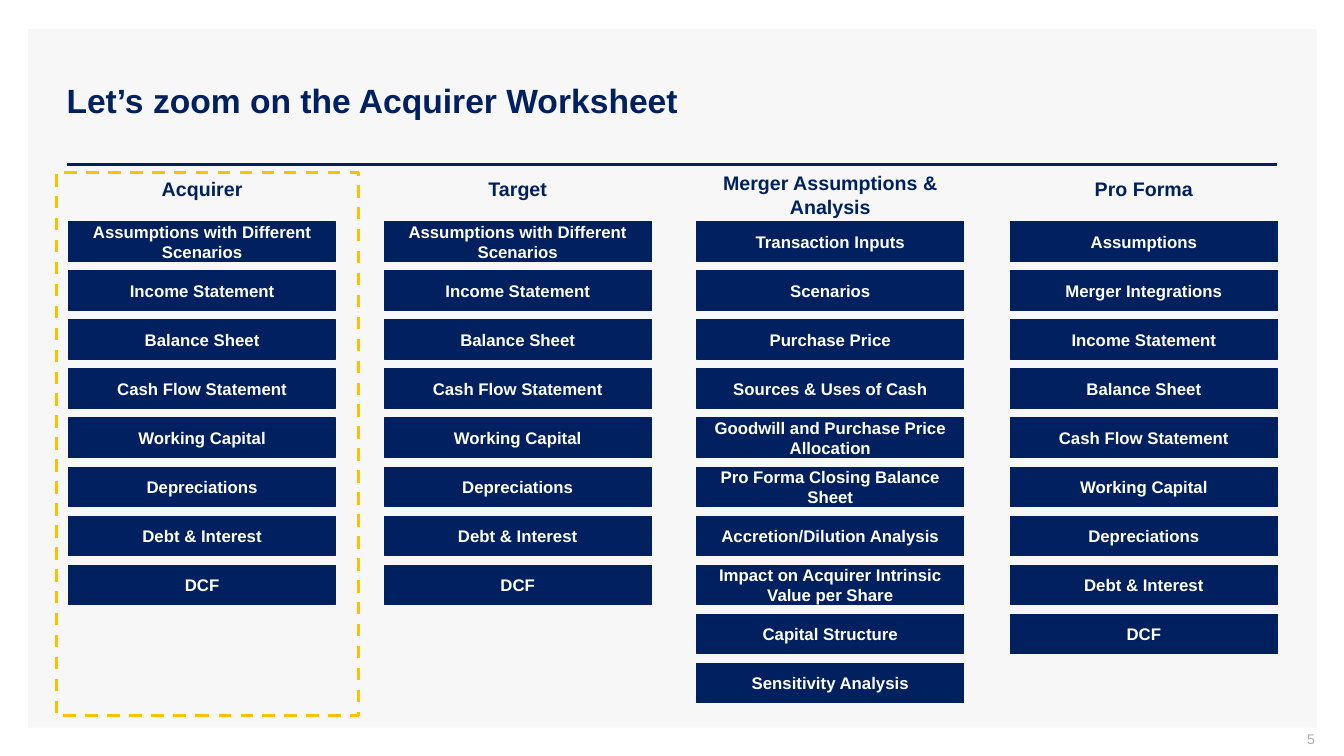
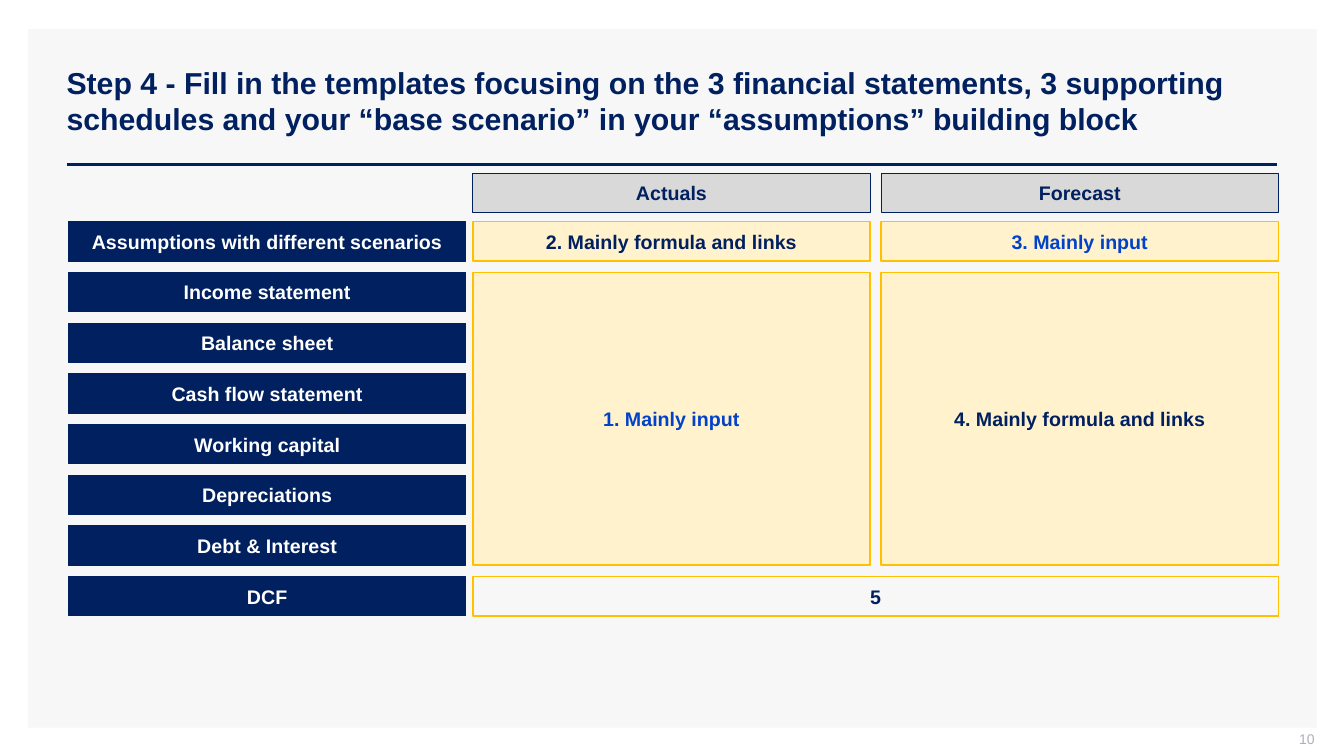
from lxml.etree import SubElement
from pptx import Presentation
from pptx.dml.color import RGBColor
from pptx.enum.dml import MSO_LINE
from pptx.enum.shapes import MSO_CONNECTOR, MSO_SHAPE
from pptx.enum.text import MSO_ANCHOR, MSO_AUTO_SIZE, PP_ALIGN
from pptx.oxml.ns import qn
from pptx.util import Inches, Pt

NAVY = RGBColor(0x00, 0x20, 0x60)
BLUE = RGBColor(0x00, 0x42, 0xC8)
GOLD = RGBColor(0xFF, 0xC0, 0x00)
CREAM = RGBColor(0xFF, 0xF2, 0xCC)
SILVER = RGBColor(0xD9, 0xD9, 0xD9)
PALE = RGBColor(0xF7, 0xF7, 0xF7)
MUTED = RGBColor(0xAD, 0xAF, 0xBB)
WHITE = RGBColor(0xFF, 0xFF, 0xFF)

FONT = "Arial"
TITLE_ONLY = 5
LEFT, RIGHT = 0.68, 12.68
ROW_TOP, ROW_H = 2.2, 0.39

SCHEDULES = ["Working Capital", "Depreciations", "Debt & Interest", "DCF"]
STATEMENTS = ["Income Statement", "Balance Sheet", "Cash Flow Statement"]
COMPANY = ["Assumptions with Different Scenarios", *STATEMENTS, *SCHEDULES]
WORKSHEETS = [
    (0.68, "Acquirer", COMPANY),
    (3.81, "Target", COMPANY),
    (6.91, "Merger Assumptions & Analysis", [
        "Transaction Inputs", "Scenarios", "Purchase Price",
        "Sources & Uses of Cash", "Goodwill and Purchase Price Allocation",
        "Pro Forma Closing Balance Sheet", "Accretion/Dilution Analysis",
        "Impact on Acquirer Intrinsic Value per Share",
        "Capital Structure", "Sensitivity Analysis"]),
    (10.02, "Pro Forma",
     ["Assumptions", "Merger Integrations", *STATEMENTS, *SCHEDULES]),
]
TEMPLATE_ROWS = ["Assumptions with different scenarios", "Income statement",
                 "Balance sheet", "Cash flow statement", "Working capital",
                 "Depreciations", "Debt & Interest", "DCF"]


def inches(*lengths):
    return [Inches(n) for n in lengths]


def write(shape, text, size, color, bold=True, align=PP_ALIGN.CENTER,
          anchor=MSO_ANCHOR.MIDDLE):
    tf = shape.text_frame
    frame_format = {"word_wrap": True, "auto_size": MSO_AUTO_SIZE.NONE,
                    "vertical_anchor": anchor}
    for name, value in frame_format.items():
        setattr(tf, name, value)
    p = tf.paragraphs[0]
    p.alignment = align
    r = p.add_run()
    r.text = text
    for name, value in {"name": FONT, "size": Pt(size), "bold": bold}.items():
        setattr(r.font, name, value)
    r.font.color.rgb = color


def add_text(s, at, text, size, color, **style):
    box = s.shapes.add_textbox(*inches(*at))
    write(box, text, size, color, **style)
    return box


def add_box(s, at, fill=None, line=None, width=0.75, text="", size=14,
            color=NAVY):
    """Rectangle; without a fill or line colour that part stays empty."""
    sp = s.shapes.add_shape(MSO_SHAPE.RECTANGLE, *inches(*at))
    sp.shadow.inherit = False
    for part, rgb in ((sp.fill, fill), (sp.line.fill, line)):
        if rgb is None:
            part.background()
        else:
            part.solid()
            part.fore_color.rgb = rgb
    if line is not None:
        sp.line.width = Pt(width)
    if text:
        write(sp, text, size, color)
    return sp


def add_rule(s, x1, x2, y):
    rule = s.shapes.add_connector(MSO_CONNECTOR.STRAIGHT, *inches(x1, y, x2, y))
    rule.line.color.rgb = NAVY
    rule.line.width = Pt(2)
    SubElement(rule.element.spPr, qn("a:effectLst"))


def add_slide(prs, title, number, title_size):
    """Slide with the shared panel, title, rule and page number."""
    s = prs.slides.add_slide(prs.slide_layouts[TITLE_ONLY])
    panel = add_box(s, (0.28, 0.29, 12.78, 6.93), PALE)
    s.shapes.element.insert(2, panel.element)  # behind the title
    add_rule(s, 0.66, 12.67, 1.63)

    heading = s.shapes.title
    place = zip(("left", "top", "width", "height"),
                inches(0.56, 0.4, 12.11, 1.19))
    for name, value in place:
        setattr(heading, name, value)
    write(heading, title, title_size, NAVY, align=PP_ALIGN.LEFT)

    page = add_text(s, (10.04, 7.25, 3, 0.21), str(number), 10, MUTED,
                    bold=False, align=PP_ALIGN.RIGHT)
    margins = {"left": 0.1, "top": 0, "right": 0, "bottom": 0.05}
    for side, value in margins.items():
        setattr(page.text_frame, f"margin_{side}", Inches(value))
    return s


def add_stack(s, x, width, pitch, labels, size):
    """Column of equally spaced navy blocks."""
    for i, label in enumerate(labels):
        add_box(s, (x, ROW_TOP + i * pitch, width, ROW_H), NAVY, NAVY,
                text=label, size=size, color=WHITE)


def build_worksheets(prs):
    s = add_slide(prs, "Let’s zoom on the Acquirer Worksheet", 5, 24)
    width = 2.65
    pitch = (6.58 - ROW_TOP) / 9
    for x, heading, labels in WORKSHEETS:
        two_lines = len(heading) > 20
        top, height = (1.65, 0.57) if two_lines else (1.71, 0.34)
        add_text(s, (x, top, width, height), heading, 14, NAVY,
                 anchor=MSO_ANCHOR.TOP)
        add_stack(s, x, width, pitch, labels, 12)
    focus = add_box(s, (0.56, 1.71, 3, 5.39), line=GOLD, width=2.25)
    focus.line.dash_style = MSO_LINE.DASH


def build_templates(prs):
    s = add_slide(
        prs, "Step 4 - Fill in the templates focusing on the 3 financial "
        "statements, 3 supporting schedules and your “base scenario” in your "
        "“assumptions” building block", 10, 21.6)
    width = 3.94
    actuals_x, forecast_x = 4.69, RIGHT - width
    dcf_top = 5.72
    pitch = (dcf_top - ROW_TOP) / (len(TEMPLATE_ROWS) - 1)
    add_stack(s, LEFT, width, pitch, TEMPLATE_ROWS, 14)

    block_top = ROW_TOP + pitch
    block_h = 5 * pitch + ROW_H
    formula, entry = ("Mainly formula and links", NAVY), ("Mainly input", BLUE)
    columns = [(actuals_x, "Actuals", (2, *formula), (1, *entry)),
               (forecast_x, "Forecast", (3, *entry), (4, *formula))]
    for x, heading, assumptions, schedules in columns:
        add_box(s, (x, 1.72, width, ROW_H), SILVER, NAVY, text=heading)
        cells = ((ROW_TOP, ROW_H, assumptions), (block_top, block_h, schedules))
        for top, height, (step, label, color) in cells:
            add_box(s, (x, top, width, height), CREAM, GOLD, 1,
                    f"{step}. {label}", color=color)
    add_box(s, (actuals_x, dcf_top, RIGHT - actuals_x, ROW_H), line=GOLD,
            width=1, text="5")


def main():
    prs = Presentation()
    prs.slide_width, prs.slide_height = inches(13.33, 7.5)
    build_worksheets(prs)
    build_templates(prs)
    prs.save("out.pptx")


if __name__ == "__main__":
    main()
